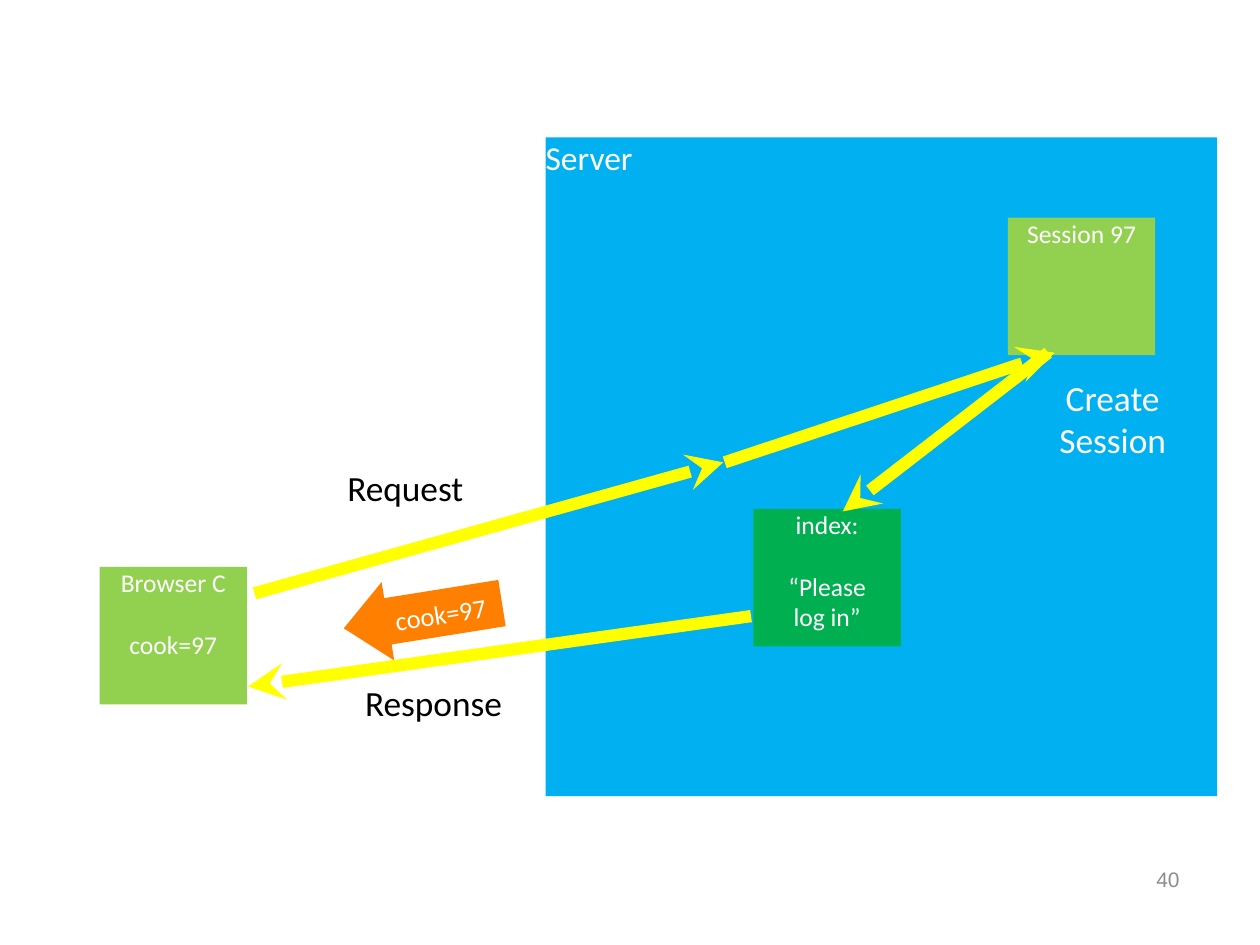
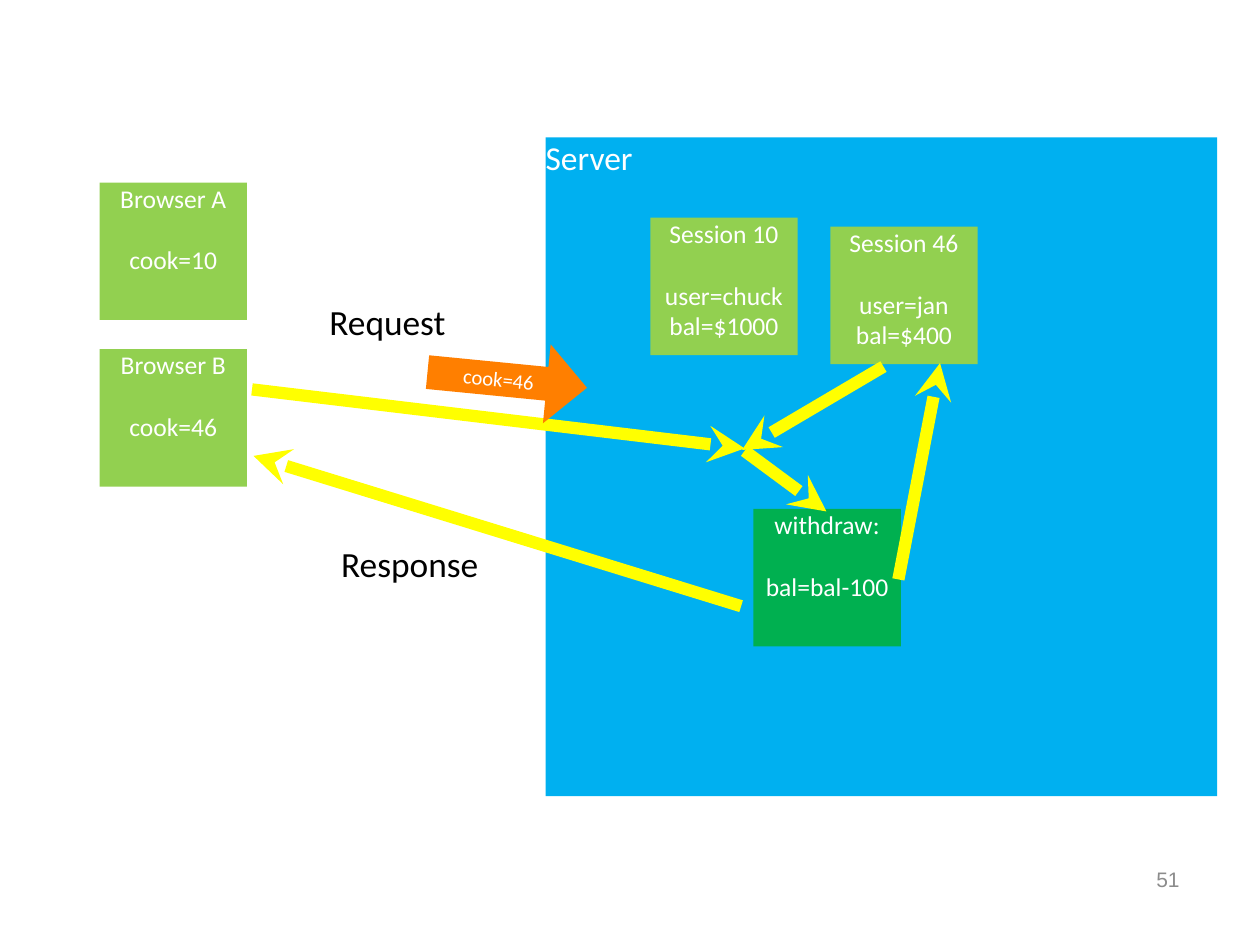
import pptx
import pptx.util
import pptx.dml.color
import pptx.enum.shapes
import pptx.enum.text
import pptx.oxml
import pptx.oxml.ns
from dataclasses import dataclass

Cm = pptx.util.Cm
Pt = pptx.util.Pt
SHAPE = pptx.enum.shapes.MSO_SHAPE
ANCHOR = pptx.enum.text.MSO_ANCHOR
ALIGN = pptx.enum.text.PP_ALIGN


@dataclass(frozen=True)
class Theme:
    server: str = "00B0F0"
    client: str = "92D050"
    script: str = "00B050"
    cookie: str = "FF7F00"
    arrow: str = "FFFF00"
    light: str = "FFFFFF"
    dark: str = "000000"
    grey: str = "8C8C8C"
    font: str = "Calibri"
    number_font: str = "Arial"
    server_pt: float = 19.1
    box_pt: float = 14.6
    label_pt: float = 20.2
    number_pt: float = 12
    line_pt: float = 7


T = Theme()
SERVER = (11, 2.77, 13.54, 13.28)
BOX = (2.97, 2.77)
COOKIE = (3.23, 1.6)
NUMBER = (23.06, 17.35, 1.47, 1.27)
LABEL_WIDTH, LABEL_LINE = 2.8, 0.86
SCRIPT_AT = (15.19, 10.26)
BROWSER_X = 2.01

SLIDES = [
    {
        "number": "40",
        "boxes": [
            (T.client, (20.32, 4.39), ["Session 97"]),
            (T.client, (BROWSER_X, 11.43), ["Browser C", "cook=97"]),
            (T.script, SCRIPT_AT, ["index:", "“Please", "log in”"]),
        ],
        "request": ((5.13, 11.96), (14.58, 9.32)),
        "cookie": {"at": (6.91, 11.61), "turn": 170.9, "adj": (0.591, 0.563)},
        "arrows": [
            ((15.14, 12.42), (5, 13.84)),
            ((14.61, 9.32), (21.26, 7.11)),
            ((21.13, 7.11), (16.99, 10.31)),
        ],
        "labels": [
            (["Request"], (8.17, 9.83), T.dark, T.label_pt, 0),
            (["Response"], (8.74, 14.15), T.dark, T.label_pt, 0),
            (["cook=97"], (8.88, 12.37), T.light, 15.2, 351),
            (["Create", "Session"], (22.43, 8.43), T.light, T.label_pt, 0),
        ],
    },
    {
        "number": "51",
        "boxes": [
            (T.client, (13.11, 4.39), ["Session 10", "user=chuck", "bal=$1000"]),
            (T.client, (16.74, 4.57), ["Session 46", "user=jan", "bal=$400"]),
            (T.client, (BROWSER_X, 3.68), ["Browser A", "cook=10"]),
            (T.client, (BROWSER_X, 7.04), ["Browser B", "cook=46"]),
            (T.script, SCRIPT_AT, ["withdraw:", "bal=bal-100"]),
        ],
        "request": ((5.08, 7.85), (15.01, 9.04)),
        "cookie": {"at": (8.61, 6.86), "turn": 5.6, "adj": (0.426, 0.508),
                   "text": "cook=46", "pt": 11.8},
        "arrows": [
            ((17.81, 7.39), (14.96, 9.07)),
            ((15.01, 9.09), (16.66, 10.31)),
            ((18.11, 11.68), (18.95, 7.32)),
            ((14.94, 12.22), (5.11, 9.19)),
        ],
        "labels": [
            (["Response"], (8.26, 11.35), T.dark, T.label_pt, 0),
            (["Request"], (7.81, 6.48), T.dark, T.label_pt, 0),
        ],
    },
]


def rgb(color):
    return pptx.dml.color.RGBColor.from_string(color)


def write(sp, lines, pt, color, align=ALIGN.CENTER, anchor=ANCHOR.TOP,
          wrap=True, inset=0, font=T.font):
    tf = sp.text_frame
    tf.word_wrap = wrap
    tf.vertical_anchor = anchor
    tf.margin_left = tf.margin_right = Cm(inset)
    tf.margin_top = tf.margin_bottom = Cm(inset / 2)
    tf.text = "\n".join(lines)
    for p in tf.paragraphs:
        p.alignment = align
        for r in p.runs:
            r.font.name, r.font.size = font, Pt(pt)
            r.font.color.rgb = rgb(color)
    return tf


def add_block(s, kind, frame, color):
    sp = s.shapes.add_shape(kind, *map(Cm, frame))
    sp.fill.solid()
    sp.fill.fore_color.rgb = rgb(color)
    sp.line.fill.background()
    sp.shadow.inherit = False
    return sp


def add_box(s, color, at, lines):
    sp = add_block(s, SHAPE.RECTANGLE, at + BOX, color)
    tf = write(sp, lines, T.box_pt, T.light)
    if len(lines) > 1:
        tf.paragraphs[0].space_after = Pt(T.box_pt * 1.22)


def add_arrow(s, start, tip):
    line = s.shapes.add_connector(
        pptx.enum.shapes.MSO_CONNECTOR.STRAIGHT, *map(Cm, start + tip))
    line.line.color.rgb = rgb(T.arrow)
    line.line.width = Pt(T.line_pt)
    qn, make = pptx.oxml.ns.qn, pptx.oxml.parse_xml
    ns = pptx.oxml.ns.nsdecls("a")
    pr = line._element.spPr
    pr.find(qn("a:ln")).append(make(f'<a:tailEnd {ns} type="stealth"/>'))
    pr.append(make(f"<a:effectLst {ns}/>"))


def add_cookie(s, at, turn, adj, text=None, pt=None):
    sp = add_block(s, SHAPE.RIGHT_ARROW, at + COOKIE, T.cookie)
    sp.rotation = turn
    sp.adjustments[0], sp.adjustments[1] = adj
    if text:
        write(sp, [text], pt, T.light, anchor=ANCHOR.MIDDLE)


def add_label(s, lines, center, color, pt, turn):
    height = LABEL_LINE * len(lines)
    x, y = center
    frame = (x - LABEL_WIDTH / 2, y - height / 2, LABEL_WIDTH, height)
    sp = s.shapes.add_textbox(*map(Cm, frame))
    sp.rotation = turn
    write(sp, lines, pt, color, anchor=ANCHOR.MIDDLE, wrap=False)


def add_slide(prs, data):
    s = prs.slides.add_slide(prs.slide_layouts[6])
    server = add_block(s, SHAPE.RECTANGLE, SERVER, T.server)
    write(server, ["Server"], T.server_pt, T.light, align=ALIGN.LEFT)
    for box in data["boxes"]:
        add_box(s, *box)
    add_arrow(s, *data["request"])
    add_cookie(s, **data["cookie"])
    for arrow in data["arrows"]:
        add_arrow(s, *arrow)
    for label in data["labels"]:
        add_label(s, *label)
    number = s.shapes.add_textbox(*map(Cm, NUMBER))
    write(number, [data["number"]], T.number_pt, T.grey, align=ALIGN.LEFT,
          inset=0.25, font=T.number_font)


def main():
    prs = pptx.Presentation()
    prs.slide_width, prs.slide_height = Cm(25.4), Cm(19.05)
    for data in SLIDES:
        add_slide(prs, data)
    prs.save("out.pptx")


if __name__ == "__main__":
    main()
